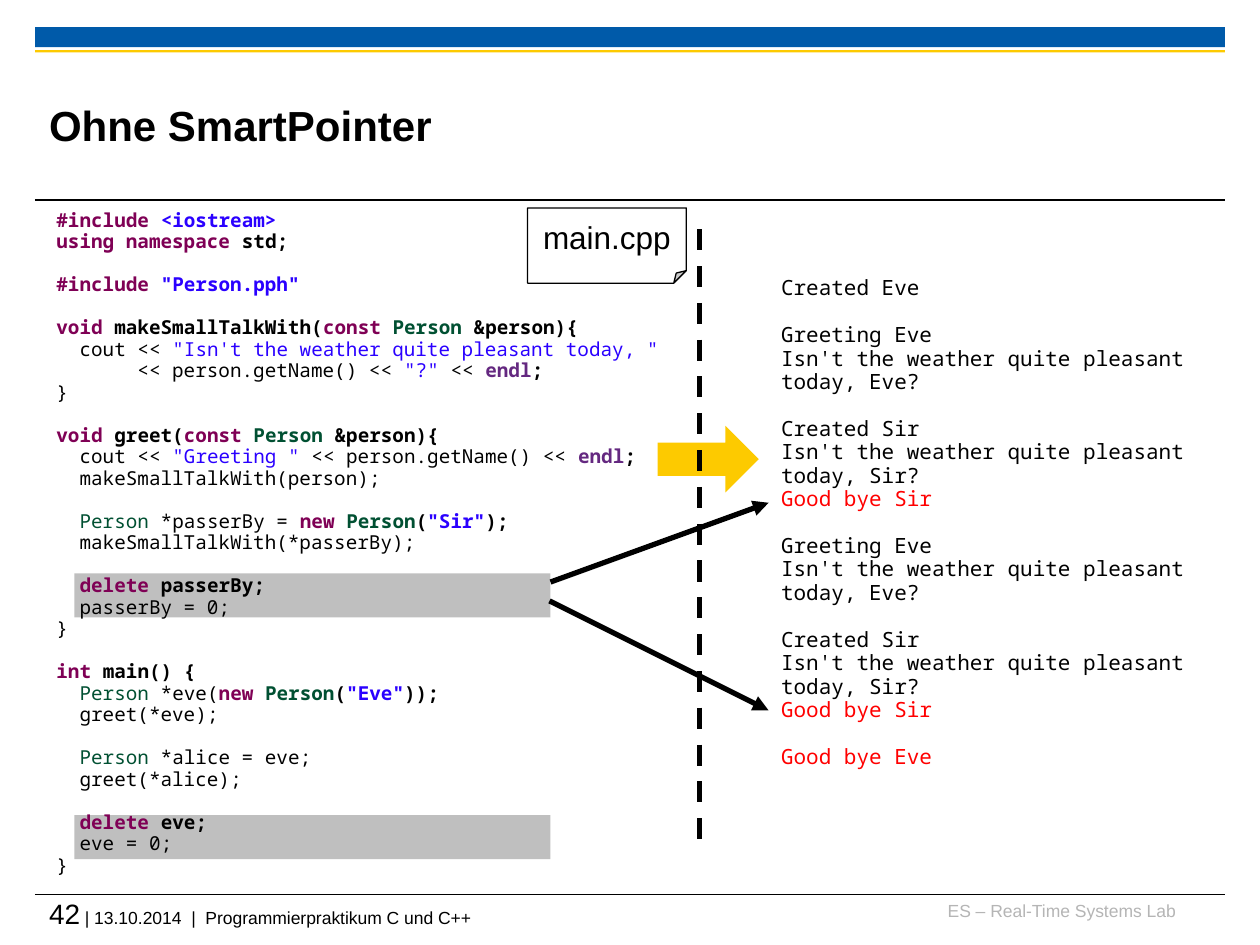
from lxml.etree import SubElement
from pptx import Presentation
from pptx.dml.color import RGBColor
from pptx.enum.dml import MSO_LINE
from pptx.enum.shapes import MSO_CONNECTOR, MSO_SHAPE
from pptx.enum.text import MSO_ANCHOR, MSO_AUTO_SIZE, PP_ALIGN
from pptx.oxml.ns import qn
from pptx.util import Pt

COLORS = {
    "plain": "000000", "keyword": "7F0055", "string": "2A00FF", "type": "005032",
    "stream": "642880", "red": "FF0000", "blue": "005AA9", "yellow": "FDCA00",
    "highlight": "BFBFBF", "muted": "B5B5B5", "white": "FFFFFF",
}
COLORS = {name: RGBColor.from_string(value) for name, value in COLORS.items()}
STYLES = {
    "p": ("plain", False), "P": ("plain", True), "K": ("keyword", True),
    "s": ("string", False), "S": ("string", True), "t": ("type", False),
    "T": ("type", True), "E": ("stream", True), "r": ("red", False),
}

deck = Presentation()
deck.slide_width, deck.slide_height = Pt(720), Pt(540)
page = deck.slides.add_slide(deck.slide_layouts[5])


def add_text(left, top, width, height, lines, font_name, size, gap=0, spacing=1.0, inset=True):
    box = page.shapes.add_textbox(Pt(left), Pt(top), Pt(width), Pt(height))
    frame = box.text_frame
    frame.word_wrap = True
    if inset:
        frame.auto_size = MSO_AUTO_SIZE.SHAPE_TO_FIT_TEXT
    else:
        frame.margin_left = frame.margin_right = frame.margin_top = frame.margin_bottom = 0
    para, space = None, 0
    for line in lines:
        if not line:
            space = gap
            continue
        para = frame.add_paragraph() if para else frame.paragraphs[0]
        para.line_spacing = spacing
        if space:
            para.space_before = Pt(space)
        space = 0
        para.font.name, para.font.size = font_name, Pt(size)
        for style, text in line:
            color, bold = STYLES[style]
            span = para.add_run()
            span.text = text
            span.font.bold = bold
            span.font.color.rgb = COLORS[color]
    return frame


def add_line(start, end, width):
    line = page.shapes.add_connector(
        MSO_CONNECTOR.STRAIGHT, *(Pt(value) for value in (*start, *end)))
    line.line.width = Pt(width)
    line.line.color.rgb = COLORS["plain"]
    SubElement(line._element.spPr, qn("a:effectLst"))
    return line


title = page.shapes.title
title.left, title.top, title.width, title.height = Pt(28), Pt(38), Pt(541.5), Pt(66)
title_frame = title.text_frame
title_frame.text = "Ohne SmartPointer"
title_frame.vertical_anchor = MSO_ANCHOR.MIDDLE
title_frame.margin_left = title_frame.margin_right = 0
title_frame.margin_top = title_frame.margin_bottom = 0
para = title_frame.paragraphs[0]
para.alignment = PP_ALIGN.LEFT
para.font.name, para.font.size, para.font.bold = "Arial", Pt(24), True
para.font.color.rgb = COLORS["plain"]

for rule_top in (114.3, 511):
    add_line((20, rule_top), (700, rule_top), 0.6)

filled_shapes = [
    (MSO_SHAPE.RECTANGLE, 20, 15.5, 680, 11.5, "blue"),
    (MSO_SHAPE.RECTANGLE, 20, 28.6, 680, 1.4, "yellow"),
    (MSO_SHAPE.RECTANGLE, 42.5, 327.6, 272, 25.2, "highlight"),
    (MSO_SHAPE.RECTANGLE, 42.5, 465.8, 272, 25.2, "highlight"),
    (MSO_SHAPE.RIGHT_ARROW, 375.8, 243.4, 57.8, 38, "yellow"),
    (MSO_SHAPE.FOLDED_CORNER, 301.5, 118.8, 90.7, 43, "white"),
]
for kind, left, top, width, height, color in filled_shapes:
    shape = page.shapes.add_shape(kind, Pt(left), Pt(top), Pt(width), Pt(height))
    shape.shadow.inherit = False
    shape.fill.solid()
    shape.fill.fore_color.rgb = COLORS[color]
    shape.line.fill.background()

file_note = shape
file_note.line.width = Pt(0.75)
file_note.line.color.rgb = COLORS["plain"]
file_note.text_frame.text = "main.cpp"
file_note.text_frame.word_wrap = False
file_note.text_frame.vertical_anchor = MSO_ANCHOR.MIDDLE
para = file_note.text_frame.paragraphs[0]
para.alignment = PP_ALIGN.CENTER
para.line_spacing = 0.93
para.font.name, para.font.size = "Arial", Pt(18)
para.font.color.rgb = COLORS["plain"]

divider = add_line((399.6, 131), (399.6, 485.3), 3)
divider.line.dash_style = MSO_LINE.DASH

code = [
    [("K", "#include "), ("S", "<iostream>")],
    [("K", "using namespace "), ("P", "std;")],
    [],
    [("K", "#include "), ("S", '"Person.pph"')],
    [],
    [("K", "void "), ("P", "makeSmallTalkWith("), ("K", "const "), ("T", "Person"), ("P", " &person){")],
    [("p", "  cout << "), ("s", '"Isn\'t the weather quite pleasant today, "')],
    [("p", "       << person.getName() << "), ("s", '"?"'), ("p", " << "), ("E", "endl"), ("P", ";")],
    [("p", "}")],
    [],
    [("K", "void "), ("P", "greet("), ("K", "const "), ("T", "Person"), ("P", " &person){")],
    [("p", "  cout << "), ("s", '"Greeting "'), ("p", " << person.getName() << "), ("E", "endl"), ("P", ";")],
    [("p", "  makeSmallTalkWith(person);")],
    [],
    [("t", "  Person"), ("p", " *passerBy = "), ("K", "new "), ("T", "Person"), ("P", "("), ("S", '"Sir"'), ("P", ");")],
    [("p", "  makeSmallTalkWith(*passerBy);")],
    [],
    [("K", "  delete "), ("P", "passerBy;")],
    [("p", "  passerBy = 0;")],
    [("p", "}")],
    [],
    [("K", "int "), ("P", "main() {")],
    [("t", "  Person"), ("p", " *eve("), ("K", "new "), ("T", "Person"), ("P", "("), ("S", '"Eve"'), ("P", "));")],
    [("p", "  greet(*eve);")],
    [],
    [("t", "  Person"), ("p", " *alice = eve;")],
    [("p", "  greet(*alice);")],
    [],
    [("K", "  delete "), ("P", "eve;")],
    [("p", "  eve = 0;")],
    [("p", "}")],
]
add_text(25.2, 116.6, 487.4, 391.7, code, "Noto Sans Mono", 11, gap=12.3, spacing=0.93)

greeting = [
    [("p", "Greeting Eve")],
    [("p", "Isn't the weather quite pleasant today, Eve?")],
    [],
    [("p", "Created Sir")],
    [("p", "Isn't the weather quite pleasant today, Sir?")],
    [("r", "Good bye Sir")],
    [],
]
output = [[("p", "Created Eve")], [], *greeting, *greeting, [("r", "Good bye Eve")]]
add_text(439.2, 154.8, 278, 291.6, output, "Noto Sans Mono", 12, gap=13.4, spacing=0.93)

for start, end in (((314.6, 332.6), (439.2, 287.3)), ((314, 343.4), (439.2, 406))):
    arrow = add_line(start, end, 3)
    SubElement(arrow.line._get_or_add_ln(), qn("a:tailEnd"), type="triangle")

lab = add_text(530, 514, 141.8, 18, [[("p", "ES – Real-Time Systems Lab")]], "Arial", 10, inset=False)
lab.paragraphs[0].alignment = PP_ALIGN.RIGHT
lab.paragraphs[0].runs[0].font.color.rgb = COLORS["muted"]

footer_line = [("p", "42"), ("p", " | 13.10.2014  |  Programmierpraktikum C und C++")]
footer = add_text(28, 512.6, 480, 23.8, [footer_line], "Arial", 10, inset=False)
footer.paragraphs[0].runs[0].font.size = Pt(16)

deck.save("out.pptx")
